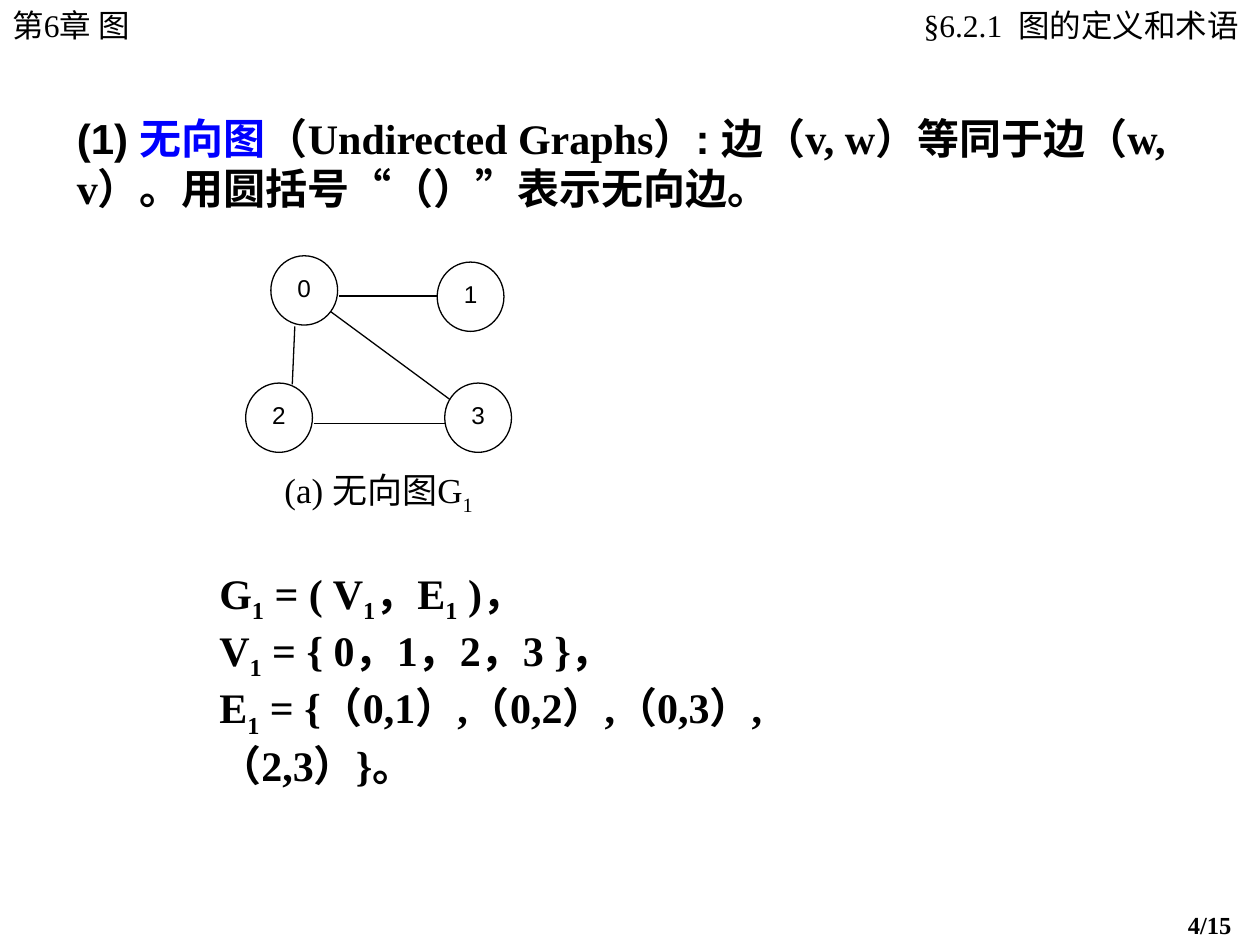
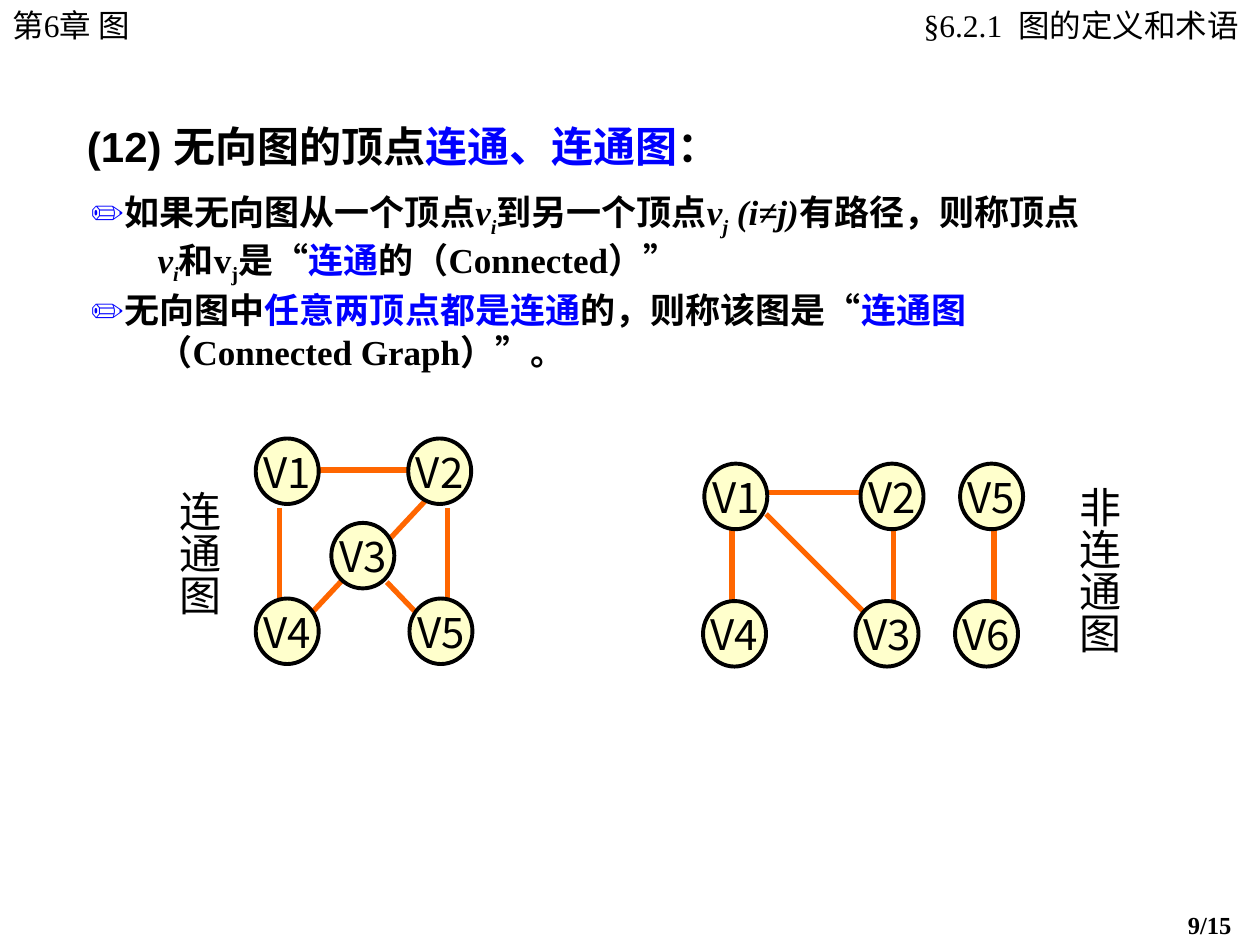
from lxml.etree import SubElement
from pptx import Presentation
from pptx.dml.color import RGBColor
from pptx.enum.shapes import MSO_CONNECTOR, MSO_SHAPE
from pptx.enum.text import MSO_ANCHOR, MSO_AUTO_SIZE, PP_ALIGN
from pptx.oxml.ns import qn
from pptx.util import Inches, Pt

BLACK, BLUE, WHITE = "000000", "0000FF", "FFFFFF"
CREAM, ORANGE = "FFFFCC", "FF6600"
SERIF, SANS, CJK = "Times New Roman", "Arial", "Noto Sans CJK SC"

CHAPTER = "第6章 图"
SECTION = "§6.2.1  图的定义和术语"
PAGE_COUNT = 15

# A paragraph is a list of runs: plain text, or (text, styles).
# Styles: b blue, i italic, s subscript, a Arial
UNDIRECTED = {
    "page": 4,
    "title": [("(1) ", "a"), ("无向图", "b"), "（Undirected Graphs）", (": ", "a"),
              "边（v, w）等同于边（w, v）。用圆括号“（）”表示无向边。"],
    "title_box": (0.51, 0.84, 9.33, 0.9),
    "body": [
        ["G", ("1", "s"), " = ( V", ("1", "s"), "，E", ("1", "s"), " )，"],
        ["V", ("1", "s"), " = { 0，1，2，3 }，"],
        ["E", ("1", "s"), " = {（0,1）,（0,2）,（0,3）,（2,3）}。"],
    ],
    "body_box": (1.64, 4.45, 5.78, 1.87),
    "body_format": {"size": 24},
    "caption": ["(a) 无向图G", ("1", "s")],
    "caption_box": (2.16, 3.67, 2.84, 0.45),
    "graphs": [{
        "nodes": [("0", 2.15, 2.03), ("1", 3.47, 2.08),
                  ("2", 1.95, 3.04), ("3", 3.53, 3.04)],
        "edges": [(2.69, 2.35, 3.47, 2.35), (2.62, 2.47, 3.57, 3.17),
                  (2.34, 2.59, 2.32, 3.05), (2.49, 3.36, 3.53, 3.36)],
    }],
    "graph_style": {"node_size": (0.53, 0.55), "fill": WHITE, "outline": 0.75,
                    "edge_color": BLACK, "edge_width": 0.75,
                    "font": SANS, "size": 13.9, "lift": 0.05},
}

CONNECTED = {
    "page": 9,
    "title": [("(12) ", "a"), "无向图的顶点", ("连通、连通图", "b"), "："],
    "title_box": (0.59, 0.91, 8.59, 0.5),
    "body": [
        [("✏", "ab"), "如果无向图从一个顶点", ("v", "i"), ("i", "is"),
         "到另一个顶点", ("v", "i"), ("j", "is"), (" (i≠j)", "i"),
         "有路径，则称顶点", ("v", "i"), ("i", "is"), "和v", ("j", "s"),
         "是“", ("连通", "b"), "的（Connected）”"],
        [("✏", "ab"), "无向图中", ("任意两顶点都是连通", "b"),
         "的，则称该图是“", ("连通图", "b"), "（Connected Graph）”。"],
    ],
    "body_box": (0.72, 1.46, 7.99, 1.6),
    "body_format": {"size": 20, "hanging": 0.53, "gap": 1.5, "side_inset": 0},
    "graphs": [
        {
            "name": "连通图", "name_box": (1.23, 3.79, 0.6, 1.35),
            "nodes": [("V1", 2.03, 3.48), ("V2", 3.24, 3.48), ("V3", 2.63, 4.15),
                      ("V4", 2.03, 4.75), ("V5", 3.25, 4.75)],
            "edges": [(2.22, 4.03, 2.22, 4.76), (2.51, 3.73, 3.32, 3.73),
                      (3.55, 4.03, 3.55, 4.76), (2.74, 4.58, 2.45, 4.89),
                      (3.38, 3.97, 3.09, 4.28), (3.07, 4.62, 3.32, 4.88)],
        },
        {
            "name": "非连通图", "name_box": (8.37, 3.76, 0.6, 1.58),
            "nodes": [("V1", 5.59, 3.68), ("V2", 6.83, 3.68), ("V5", 7.62, 3.68),
                      ("V4", 5.58, 4.77), ("V3", 6.79, 4.77), ("V6", 7.58, 4.77)],
            "edges": [(6.08, 4.08, 6.9, 4.9), (5.81, 4.18, 5.81, 4.82),
                      (6.09, 3.91, 6.86, 3.91), (7.09, 4.18, 7.09, 4.82),
                      (7.89, 4.14, 7.89, 4.78)],
        },
    ],
    "graph_style": {"node_size": (0.5, 0.52), "fill": CREAM, "outline": 2.25,
                    "edge_color": ORANGE, "edge_width": 3,
                    "font": CJK, "size": 24, "lift": 0},
}


def color(hex_code):
    return RGBColor.from_string(hex_code)


def inches(values):
    return [Inches(value) for value in values]


def add_runs(paragraph, runs):
    for item in runs:
        text, styles = (item, "") if isinstance(item, str) else item
        run = paragraph.add_run()
        run.text = text
        if "b" in styles:
            run.font.color.rgb = color(BLUE)
        if "i" in styles:
            run.font.italic = True
        if "a" in styles:
            run.font.name = SANS
        if "s" in styles:
            run._r.get_or_add_rPr().set("baseline", "-25000")


def write(frame, paragraphs, size, font=SERIF, bold=False, align=PP_ALIGN.LEFT,
          hanging=0, gap=0, side_inset=0.1):
    """Fill a text frame; hanging is in inches, gap between paragraphs in points."""
    frame.word_wrap = True
    frame.auto_size = MSO_AUTO_SIZE.NONE
    frame.vertical_anchor = MSO_ANCHOR.TOP
    frame.margin_left = frame.margin_right = Inches(side_inset)
    frame.margin_top = frame.margin_bottom = Inches(0.05)
    for index, runs in enumerate(paragraphs):
        paragraph = frame.add_paragraph() if index else frame.paragraphs[0]
        paragraph.alignment = align
        paragraph.space_before = Pt(gap if index else 0)
        properties = paragraph._p.get_or_add_pPr()
        properties.set("marL", str(Inches(hanging)))
        properties.set("indent", str(-Inches(hanging)))
        SubElement(properties, qn("a:buNone"))
        paragraph.font.size = Pt(size)
        paragraph.font.bold = bold
        paragraph.font.name = font
        paragraph.font.color.rgb = color(BLACK)
        east_asian = SubElement(properties.find(qn("a:defRPr")), qn("a:ea"))
        east_asian.set("typeface", CJK)
        add_runs(paragraph, runs)


def add_text(slide, box, runs, size, **options):
    frame = slide.shapes.add_textbox(*inches(box)).text_frame
    write(frame, [runs], size, **options)
    return frame


def fill_placeholder(placeholder, box, paragraphs, **options):
    (placeholder.left, placeholder.top,
     placeholder.width, placeholder.height) = inches(box)
    write(placeholder.text_frame, paragraphs, bold=True, **options)


def add_edge(slide, ends, style):
    edge = slide.shapes.add_connector(MSO_CONNECTOR.STRAIGHT, *inches(ends))
    edge.line.color.rgb = color(style["edge_color"])
    edge.line.width = Pt(style["edge_width"])
    SubElement(edge._element.spPr, qn("a:effectLst"))


def add_node(slide, label, left, top, style):
    node = slide.shapes.add_shape(
        MSO_SHAPE.OVAL, *inches((left, top, *style["node_size"])))
    node.shadow.inherit = False
    node.fill.solid()
    node.fill.fore_color.rgb = color(style["fill"])
    node.line.color.rgb = color(BLACK)
    node.line.width = Pt(style["outline"])
    frame = node.text_frame
    write(frame, [[label]], style["size"], font=style["font"],
          align=PP_ALIGN.CENTER, side_inset=0)
    frame.word_wrap = False
    frame.vertical_anchor = MSO_ANCHOR.MIDDLE
    frame.margin_top = 0
    frame.margin_bottom = Inches(style["lift"])


def add_graph(slide, graph, style):
    for ends in graph["edges"]:
        add_edge(slide, ends, style)
    for label, left, top in graph["nodes"]:
        add_node(slide, label, left, top, style)
    if "name" in graph:
        frame = add_text(slide, graph["name_box"], [graph["name"]], 24,
                         font=CJK, side_inset=0.05)
        frame.margin_top = frame.margin_bottom = Inches(0.1)
        frame._txBody.bodyPr.set("vert", "eaVert")


def add_running_text(slide, page):
    add_text(slide, (0, 0, 1.74, 0.4), [CHAPTER], 18)
    section = add_text(slide, (6.95, 0, 3.04, 0.4), [SECTION], 18,
                       align=PP_ALIGN.RIGHT, side_inset=0.12)
    section.margin_right = Inches(0.16)
    add_text(slide, (9.33, 7.17, 0.67, 0.33), [f"{page}/{PAGE_COUNT}"], 14, bold=True)


def add_slide(deck, content):
    slide = deck.slides.add_slide(deck.slide_layouts[1])
    title, body = slide.placeholders
    fill_placeholder(title, content["title_box"], [content["title"]], size=24)
    fill_placeholder(body, content["body_box"], content["body"],
                     **content["body_format"])
    add_running_text(slide, content["page"])
    for graph in content["graphs"]:
        add_graph(slide, graph, content["graph_style"])
    if "caption" in content:
        add_text(slide, content["caption_box"], content["caption"], 20)


def main():
    deck = Presentation()
    deck.slide_width, deck.slide_height = Inches(10), Inches(7.5)
    for content in (UNDIRECTED, CONNECTED):
        add_slide(deck, content)
    deck.save("out.pptx")


if __name__ == "__main__":
    main()
